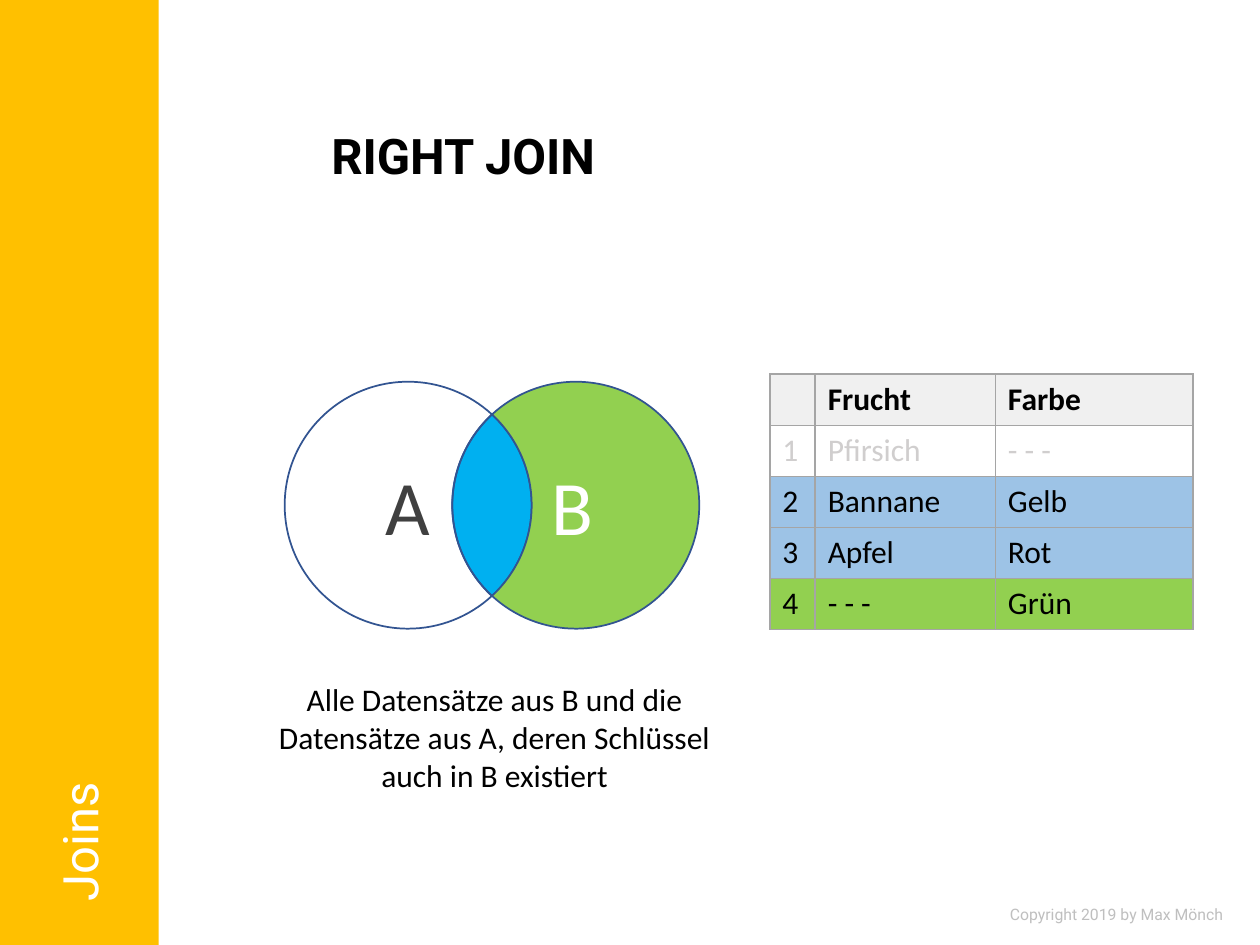
import math
from dataclasses import dataclass

from lxml import etree
from pptx import Presentation
from pptx import util as u
from pptx.dml.color import RGBColor
from pptx.enum import shapes, text
from pptx.oxml.ns import qn


@dataclass(frozen=True)
class Theme:
    head: str = "Roboto"
    body: str = "Calibri"
    band: str = "FFC000"
    black: str = "000000"
    white: str = "FFFFFF"
    dark: str = "404040"
    credit: str = "BFBFBF"
    muted: str = "D0CECE"
    both: str = "00B0F0"
    right: str = "92D050"
    outline: str = "325491"
    header: str = "F0F0F0"
    match: str = "9DC3E6"
    border: str = "A5A5A5"
    title_size: int = 28
    letter_size: int = 44
    text_size: int = 18
    credit_size: int = 9


T = Theme()
CENTER, LEFT = text.PP_ALIGN.CENTER, text.PP_ALIGN.LEFT

# Content: boxes are left, top, width, height in percent of the slide
BAND = (0, 0, 12.6, 100)
TITLE = ("RIGHT JOIN", (25.3, 11.07, 67.9, 11.33))
SECTION = ("Joins", (-34.2, 38, 82.2, 7.87))
LABELS = [
    ("Copyright 2019 by Max Mönch", (77.2, 95.07, 22.8, 3.33),
     dict(name=T.head, size=T.credit_size, color=T.credit)),
    ("Alle Datensätze aus B und die Datensätze aus A, deren Schlüssel auch in B existiert",
     (19.4, 71.33, 39.7, 13.47), dict(name=T.body, size=T.text_size, color=T.black)),
    ("A", (29.6, 47.87, 5.2, 11.2), dict(name=T.body, size=T.letter_size, color=T.dark)),
    ("B", (42.8, 47.87, 5.2, 11.2), dict(name=T.body, size=T.letter_size, color=T.white)),
]
TABLE_BOX = (61.1, 39.6, 33.6, 26.93)
COLUMNS = (0.36, 1.43, 1.57)
HEADER_HEIGHT = 0.34
ROWS = [  # cells, fill, text colour
    (("", "Frucht", "Farbe"), T.header, T.black),
    (("1", "Pfirsich", "- - -"), T.white, T.muted),
    (("2", "Bannane", "Gelb"), T.match, T.black),
    (("3", "Apfel", "Rot"), T.match, T.black),
    (("4", "- - -", "Grün"), T.right, T.black),
]
# Two equal circles: centres and radius in thousandths of an inch
CENTER_A, CENTER_B, RADIUS = (3240, 4010), (4570, 4010), 980

prs = Presentation()
prs.slide_width, prs.slide_height = u.Inches(10), u.Inches(7.5)
s = prs.slides.add_slide(prs.slide_layouts[2])


def box(shares):
    sides = (prs.slide_width, prs.slide_height) * 2
    return [round(side * share / 100) for side, share in zip(sides, shares)]


def write(tf, words, name, size, color, bold=False, align=LEFT, **spacing):
    p = tf.paragraphs[0]
    p.alignment = align
    for key, value in spacing.items():
        setattr(p, key, value)
    r = p.add_run()
    r.text = words
    for key, value in dict(name=name, size=u.Pt(size), bold=bold).items():
        setattr(r.font, key, value)
    r.font.color.rgb = RGBColor.from_string(color)


def paint(sp, fill=None, line=None):
    sp.shadow.inherit = False
    for part, color in ((sp.fill, fill), (sp.line.fill, line)):
        if color:
            part.solid()
            part.fore_color.rgb = RGBColor.from_string(color)
        else:
            part.background()
    if line:
        sp.line.width = u.Pt(1)


def place(sp, shares, anchor):
    for key, value in zip(("left", "top", "width", "height"), box(shares)):
        setattr(sp, key, value)
    tf = sp.text_frame
    for key, value in dict(word_wrap=True, auto_size=text.MSO_AUTO_SIZE.NONE,
                           vertical_anchor=anchor).items():
        setattr(tf, key, value)
    return tf


def arc(center, start, end):
    """Bezier points of an arc, cut at the quarter turns; three points a curve."""
    low, high = sorted((start, end))
    quarters = [k * math.pi / 2 for k in range(-4, 5)]
    cuts = [low] + [q for q in quarters if low + 0.01 < q < high - 0.01] + [high]
    if end < start:
        cuts.reverse()

    def point(a, pull=0):
        c, d = math.cos(a), math.sin(a)
        return (center[0] + RADIUS * (c - pull * d), center[1] + RADIUS * (d + pull * c))

    points = [point(start)]
    for a, b in zip(cuts, cuts[1:]):
        pull = 4 / 3 * math.tan((b - a) / 4)
        points += [point(a, pull), point(b, -pull), point(b)]
    return points


def outline(first, second, fill):
    points = first + second[1:]
    fb = s.shapes.build_freeform(*points[0], scale=u.Inches(1) / 1000)
    fb.add_line_segments(points[1:], close=True)
    sp = fb.convert_to_shape()
    # Turn every three straight segments into one curve
    steps = list(sp.element.iter(qn("a:lnTo")))
    for i in range(0, len(steps), 3):
        curve = etree.Element(qn("a:cubicBezTo"))
        steps[i].addprevious(curve)
        for step in steps[i:i + 3]:
            curve.append(step[0])
            step.getparent().remove(step)
    paint(sp, fill, T.outline)


def border(cell):
    pr = cell._tc.get_or_add_tcPr()
    for i, side in enumerate(("a:lnL", "a:lnR", "a:lnT", "a:lnB")):
        ln = etree.Element(qn(side), w=str(u.Pt(1)))
        fill = etree.SubElement(ln, qn("a:solidFill"))
        etree.SubElement(fill, qn("a:srgbClr"), val=T.border)
        pr.insert(i, ln)


# Title, and side band with the rotated section name
title, section = s.placeholders[0], s.placeholders[1]
band = s.shapes.add_shape(shapes.MSO_SHAPE.RECTANGLE, *box(BAND))
paint(band, T.band)
title.element.addprevious(band.element)

write(place(title, TITLE[1], text.MSO_ANCHOR.MIDDLE), TITLE[0], T.head,
      T.title_size, T.black, bold=True, line_spacing=0.9)
write(place(section, SECTION[1], text.MSO_ANCHOR.TOP), SECTION[0], T.head,
      T.title_size, T.white, line_spacing=0.9, space_before=u.Pt(10))
section.rotation = 270

# Venn diagram: half is the angle from the axis to a crossing point
half = math.acos((CENTER_B[0] - CENTER_A[0]) / 2 / RADIUS)
turn = math.pi
lens_right = arc(CENTER_A, -half, half)
lens_left = arc(CENTER_B, turn - half, turn + half)
outline(lens_right, lens_left, T.both)
outline(arc(CENTER_A, half, 2 * turn - half), lens_left[::-1], None)
outline(arc(CENTER_B, half - turn, turn - half), lens_right[::-1], T.right)

# Labels
for words, shares, style in LABELS:
    tb = s.shapes.add_textbox(*box(shares))
    write(place(tb, shares, text.MSO_ANCHOR.TOP), words, align=CENTER, **style)

# Result table
table = s.shapes.add_table(len(ROWS), len(COLUMNS), *box(TABLE_BOX)).table
table.horz_banding = False
table.rows[0].height = u.Inches(HEADER_HEIGHT)
for column, width in zip(table.columns, COLUMNS):
    column.width = u.Inches(width)
for i, (words, fill, color) in enumerate(ROWS):
    for j, word in enumerate(words):
        cell = table.cell(i, j)
        cell.fill.solid()
        cell.fill.fore_color.rgb = RGBColor.from_string(fill)
        border(cell)
        if word:
            write(cell.text_frame, word, T.body, T.text_size, color, bold=i == 0)

prs.save("out.pptx")
